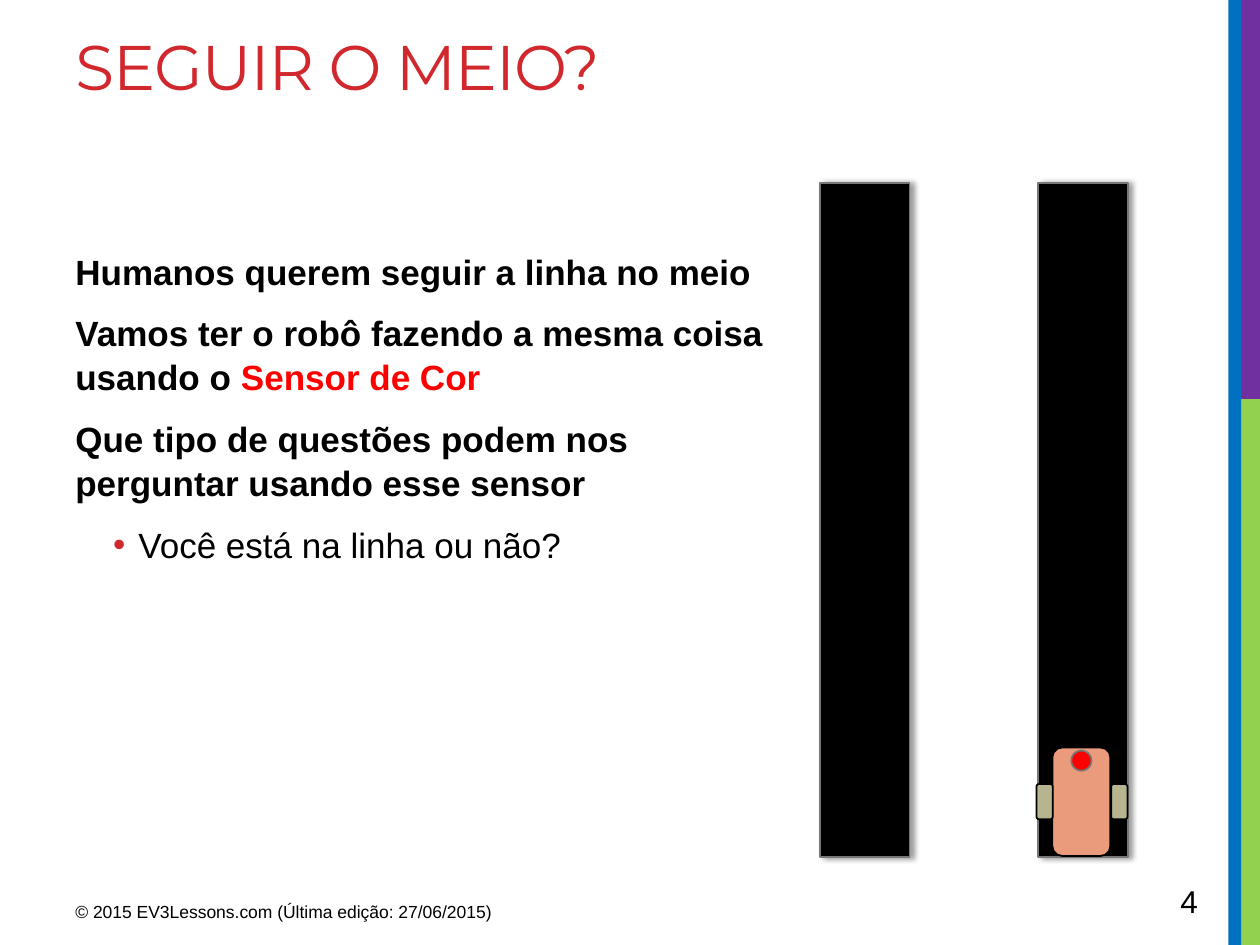
from lxml.etree import SubElement
from pptx import Presentation
from pptx.dml.color import RGBColor
from pptx.enum.shapes import MSO_SHAPE
from pptx.enum.text import MSO_ANCHOR
from pptx.oxml import parse_xml
from pptx.oxml.ns import nsdecls, qn
from pptx.util import Pt

COLORS = {
    "green": "92D050", "purple": "7030A0", "blue": "0070C0",
    "title": "D1282E", "black": "000000", "red": "FF0000",
    "outline": "777777", "robot": "EA9B7C", "wheel": "B6B590",
}


def add_filled(shapes, kind, box, fill, outline=None):
    shape = shapes.add_shape(kind, *[Pt(length) for length in box])
    shape.shadow.inherit = False
    shape.fill.solid()
    shape.fill.fore_color.rgb = RGBColor.from_string(COLORS[fill])
    if outline:
        shape.line.color.rgb = RGBColor.from_string(COLORS[outline])
        shape.line.width = Pt(1)
    else:
        shape.line.fill.background()
    return shape


def set_font(font, size, color, name="Arial", bold=False):
    font.name = name
    font.size = Pt(size)
    font.bold = bold
    font.color.rgb = RGBColor.from_string(COLORS[color])


presentation = Presentation()
presentation.slide_width, presentation.slide_height = Pt(720), Pt(540)
slide = presentation.slides.add_slide(presentation.slide_layouts[6])

# Coloured bands on the right edge
for box, color in [
    ((708.5, 228, 11.5, 312), "green"),
    ((705.6, 0, 14.4, 228), "purple"),
    ((702, 0, 7.2, 540), "blue"),
]:
    add_filled(slide.shapes, MSO_SHAPE.RECTANGLE, box, color)

# Title, footer and slide number
for text, box, size, color, name, anchor in [
    ("SEGUIR O MEIO?", (36, 12.2, 649.4, 108), 36, "title", "Montserrat", MSO_ANCHOR.TOP),
    ("© 2015 EV3Lessons.com (Última edição: 27/06/2015)", (36, 511.2, 270, 22.3),
     10, "black", "Arial", MSO_ANCHOR.TOP),
    ("4", (667.4, 500.4, 52.6, 28.8), 18, "black", "Arial", MSO_ANCHOR.MIDDLE),
]:
    text_box = slide.shapes.add_textbox(*[Pt(length) for length in box])
    text_frame = text_box.text_frame
    text_frame.word_wrap = True
    text_frame.vertical_anchor = anchor
    paragraph = text_frame.paragraphs[0]
    run = paragraph.add_run()
    run.text = text
    set_font(paragraph.font, size, color, name)
    if name == "Montserrat":
        run.font._element.set("spc", "-60")

# Body text: statements, then one bulleted question
body = slide.shapes.add_textbox(Pt(36), Pt(138.2), Pt(410.4), Pt(344.2)).text_frame
body.word_wrap = True
statements = [
    ["Humanos querem seguir a linha no meio"],
    ["Vamos ter o robô fazendo a mesma coisa usando o ", "Sensor de Cor"],
    ["Que tipo de questões podem nos perguntar usando esse sensor"],
    ["Você está na linha ou não?"],
]
for index, texts in enumerate(statements):
    paragraph = body.add_paragraph() if index else body.paragraphs[0]
    is_question = index == len(statements) - 1
    paragraph.line_spacing = 1.05
    paragraph.space_before = Pt(4 if index else 0)
    paragraph.space_after = Pt(0 if is_question else 6)
    if is_question:
        paragraph.level = 1
        properties = paragraph._p.get_or_add_pPr()
        properties.set("marL", str(Pt(36)))
        properties.set("indent", str(-Pt(14.4)))
        bullet_color = SubElement(properties, qn("a:buClr"))
        SubElement(bullet_color, qn("a:srgbClr"), val=COLORS["title"])
        SubElement(properties, qn("a:buFont"), typeface="Arial")
        SubElement(properties, qn("a:buChar"), char="•")
    set_font(paragraph.font, 20, "black", bold=not is_question)
    for text in texts:
        run = paragraph.add_run()
        run.text = text
        if text == "Sensor de Cor":
            run.font.color.rgb = RGBColor.from_string(COLORS["red"])

# Two black lines to follow, with a soft shadow to the right
for left in (468.7, 593.3):
    track = add_filled(slide.shapes, MSO_SHAPE.RECTANGLE,
                       (left, 104.4, 51.1, 385.2), "black", "outline")
    properties = track._element.spPr
    properties.replace(properties.find(qn("a:effectLst")), parse_xml(
        f'<a:effectLst {nsdecls("a")}>'
        f'<a:outerShdw blurRad="{Pt(3.1)}" dist="{Pt(1.8)}" dir="0" rotWithShape="0">'
        f'<a:srgbClr val="{COLORS["black"]}"><a:alpha val="40000"/></a:srgbClr>'
        '</a:outerShdw></a:effectLst>'))

# Robot: body, two wheels and the colour sensor
robot = slide.shapes.add_group_shape()
for kind, box, fill, outline in [
    (MSO_SHAPE.ROUNDED_RECTANGLE, (601.4, 427.2, 33.1, 61.9), "robot", "black"),
    (MSO_SHAPE.ROUNDED_RECTANGLE, (635, 448, 9.3, 20.2), "wheel", "black"),
    (MSO_SHAPE.ROUNDED_RECTANGLE, (592.3, 448, 9.3, 20.2), "wheel", "black"),
    (MSO_SHAPE.OVAL, (612.2, 428.9, 11.5, 11.5), "red", "outline"),
]:
    add_filled(robot.shapes, kind, box, fill, outline)

presentation.save("out.pptx")
